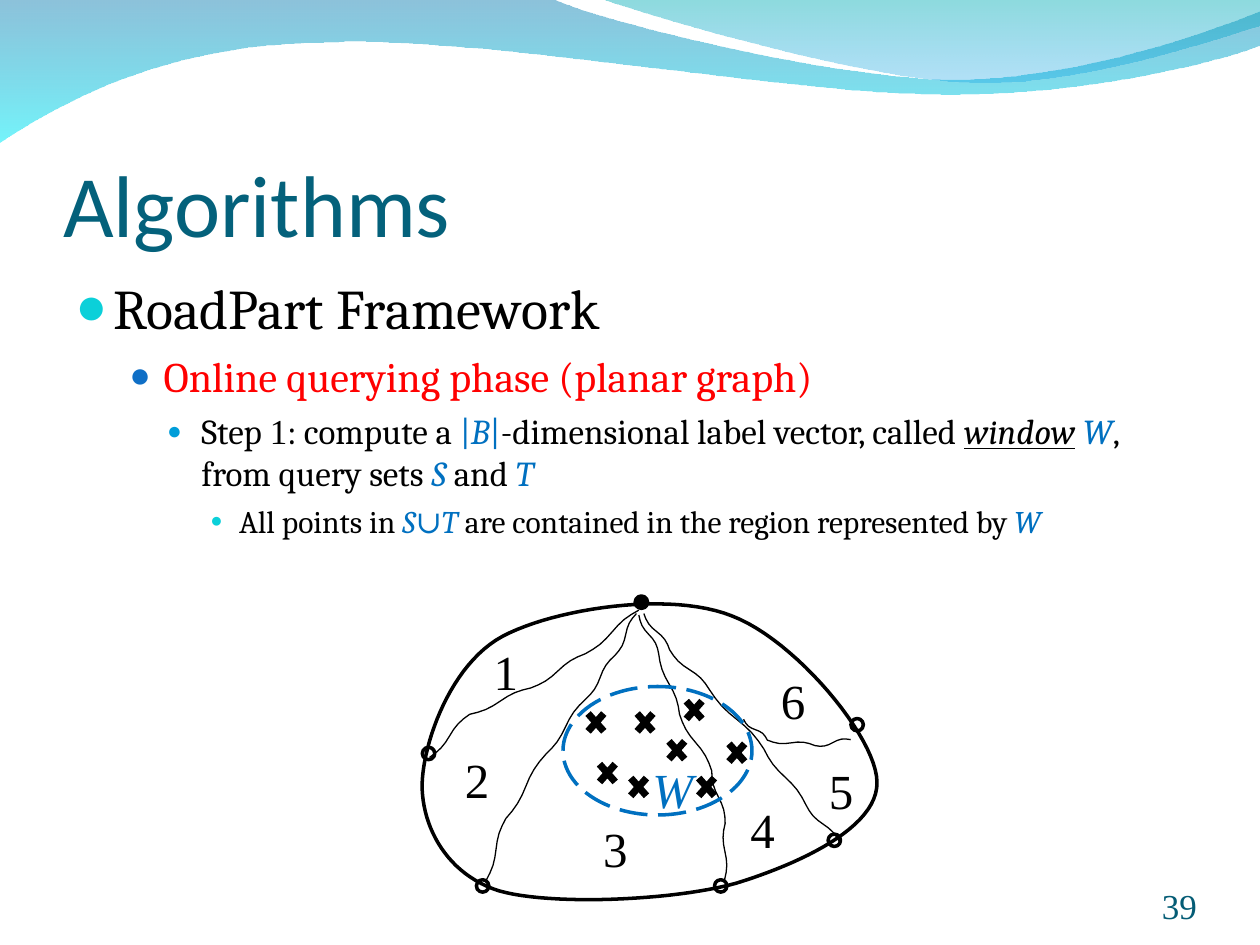
"""Build the slide on the online querying phase of the RoadPart framework."""
import math
import lxml.etree
import pptx
import pptx.dml.color
import pptx.enum.dml
import pptx.enum.shapes
import pptx.enum.text
import pptx.oxml.ns
import pptx.util

Cm, Pt, qn = pptx.util.Cm, pptx.util.Pt, pptx.oxml.ns.qn
RGB = pptx.dml.color.RGBColor.from_string
SHAPES = pptx.enum.shapes.MSO_SHAPE
ANCHOR, ALIGN = pptx.enum.text.MSO_ANCHOR, pptx.enum.text.PP_ALIGN
SERIF = "Times New Roman"
COLORS = {
    "title": "04617B", "number": "045C75", "black": "000000", "red": "FF0000", "blue": "0070C0",
    "bullet1": "0BD0D9", "bullet2": "0F6FC6", "bullet3": "009DD9",
    "wave_top": "0079AF", "wave_end": "00EBF8", "crest_top": "00ADB6", "crest_end": "009BE5",
}


def paint(shape, fill=None, line=None, weight=2):
    shape.shadow.inherit = False
    if fill:
        shape.fill.solid()
        shape.fill.fore_color.rgb = RGB(COLORS[fill])
    else:
        shape.fill.background()
    if line:
        shape.line.color.rgb = RGB(COLORS[line])
        shape.line.width = Pt(weight)
    else:
        shape.line.fill.background()


def add_run(paragraph, text, size, color="black", font="Cambria", italic=False, underline=False):
    run = paragraph.add_run()
    run.text = text
    run.font.size, run.font.name = Pt(size), font
    run.font.italic, run.font.underline = italic, underline
    run.font.color.rgb = RGB(COLORS[color])


deck = pptx.Presentation()
deck.slide_width, deck.slide_height = Cm(25.4), Cm(19.05)
slide = deck.slides.add_slide(deck.slide_layouts[5])

title = slide.shapes.title
title.left, title.top, title.width, title.height = Cm(1.27), Cm(1.96), Cm(22.86), Cm(3.18)
heading = title.text_frame
heading.auto_size = pptx.enum.text.MSO_AUTO_SIZE.NONE
heading.vertical_anchor = ANCHOR.BOTTOM
heading.margin_left = heading.margin_right = heading.margin_bottom = 0
heading.paragraphs[0].alignment = ALIGN.LEFT
add_run(heading.paragraphs[0], "Algorithms", 50, "title", "Calibri")

wave = [[(0, 0)], [(11.18, 0)], [(12.09, 0.43), (16.87, 1.6), (19.25, 1.6)],
        [(21.67, 1.6), (24.33, 0.66), (25.4, 0.23)], [(25.4, 0.91)],
        [(24.97, 1.12), (22.1, 1.93), (18.95, 1.9)], [(15.8, 1.9), (9.7, 0.71), (6.53, 0.86)],
        [(3.28, 0.89), (1.17, 2.11), (0, 2.87)]]
crest = [[(12.17, 0)], [(12.93, 0.28), (17.32, 1.57), (19.53, 1.65)],
         [(21.74, 1.75), (24.41, 0.81), (25.4, 0.53)], [(25.4, 0)]]
boundary = [[(8.51, 15.82)], [(8.53, 14.96), (9.09, 13.39), (10.13, 12.83)],
            [(11.18, 12.27), (13.51, 11.91), (14.76, 12.42)],
            [(16.03, 12.9), (17.68, 14.88), (17.68, 15.77)],
            [(17.7, 16.69), (16.1, 17.42), (14.83, 17.81)],
            [(13.56, 18.16), (11.1, 18.26), (10.06, 17.96)],
            [(9.02, 17.63), (8.51, 16.69), (8.51, 15.82)]]
curved_areas = [
    (wave, None, [("wave_top", 45), ("wave_end", 55)]),
    (crest, None, [("crest_top", 45), ("crest_end", 30)]),
    (boundary, "black", []),
]
CURVE_STEPS = 24

for segments, line, gradient in curved_areas:
    edge = []
    for segment in segments:
        if len(segment) == 1:
            edge += segment
            continue
        controls = [edge[-1]] + segment
        for step in range(1, CURVE_STEPS + 1):
            t = step / CURVE_STEPS
            bernstein = [math.comb(3, k) * t ** k * (1 - t) ** (3 - k) for k in range(4)]
            edge.append([sum(b * c[axis] for b, c in zip(bernstein, controls)) for axis in (0, 1)])
    pen = slide.shapes.build_freeform(Cm(edge[0][0]), Cm(edge[0][1]))
    pen.add_line_segments([(Cm(x), Cm(y)) for x, y in edge[1:]], close=True)
    area = pen.convert_to_shape()
    paint(area, line=line)
    if gradient:
        area.fill.gradient()
        area.fill.gradient_angle = 270
        for stop, (color, opacity) in zip(area.fill.gradient_stops, gradient):
            stop.color.rgb = RGB(COLORS[color])
        for tint, (color, opacity) in zip(area._element.iter(qn("a:srgbClr")), gradient):
            lxml.etree.SubElement(tint, qn("a:alpha"), val=str(opacity * 1000))

road_bends = {
    "west": [(12.88, 12.3), (11.8, 13.18), (10.7, 13.87), (9.47, 14.4), (8.66, 15.27)],
    "southwest": [(12.83, 12.37), (12.4, 13.21), (11.8, 14.1), (11, 15.21), (10.2, 16.5), (9.8, 17.75)],
    "south": [(12.88, 12.4), (13.28, 13.18), (13.7, 14.4), (14.35, 15.54), (14.62, 16.6), (14.61, 17.73)],
    "southeast": [(12.98, 12.37), (13.5, 13.1), (14.3, 13.9), (15.4, 15.1), (16.25, 16.23), (16.94, 17)],
    "east": [(14.99, 14.5), (15.47, 14.92), (16.43, 15.03), (17.15, 14.91)],
}
RIPPLE_HEIGHT, RIPPLE_STEPS = 0.04, 8

for bends in road_bends.values():
    pen = slide.shapes.build_freeform(Cm(bends[0][0]), Cm(bends[0][1]))
    for (x1, y1), (x2, y2) in zip(bends, bends[1:]):
        leg = math.dist((x1, y1), (x2, y2))
        for step in range(1, RIPPLE_STEPS + 1):
            t = step / RIPPLE_STEPS
            ripple = RIPPLE_HEIGHT * math.sin(2 * math.pi * t) / leg
            x = x1 + t * (x2 - x1) - ripple * (y2 - y1)
            y = y1 + t * (y2 - y1) + ripple * (x2 - x1)
            pen.add_line_segments([(Cm(x), Cm(y))], close=False)
    paint(pen.convert_to_shape(), line="black", weight=0.75)

border_nodes = {"north": (12.93, 12.14), "west": (8.64, 15.19), "southwest": (9.73, 17.86),
                "south": (14.53, 17.86), "southeast": (16.82, 16.94), "east": (17.28, 14.61)}
NODE_SIZE = 0.25
for place, (x, y) in border_nodes.items():
    node = slide.shapes.add_shape(SHAPES.OVAL, Cm(x - NODE_SIZE / 2), Cm(y - NODE_SIZE / 2),
                                  Cm(NODE_SIZE), Cm(NODE_SIZE))
    paint(node, "black" if place == "north" else None, "black")

window = slide.shapes.add_shape(SHAPES.OVAL, Cm(11.35), Cm(13.84), Cm(3.81), Cm(2.59))
paint(window, line="blue")
window.line.dash_style = pptx.enum.dml.MSO_LINE.LONG_DASH

region_labels = {"1": (9.7, 12.8), "2": (9.12, 14.99), "3": (11.91, 16.38), "4": (14.88, 16),
                 "5": (16.46, 15.21), "6": (15.49, 13.39), "W": (12.9, 15.19)}
for text, (left, top) in region_labels.items():
    is_window = text == "W"
    label = slide.shapes.add_textbox(Cm(left), Cm(top), Cm(1.32 if is_window else 0.99), Cm(1.45))
    label.text_frame.word_wrap = False
    add_run(label.text_frame.paragraphs[0], text, 28, "blue" if is_window else "black",
            SERIF, is_window)

query_points = [(13.69, 13.97), (12.7, 14.22), (14.55, 14.83), (11.94, 15.24),
                (12.57, 15.52), (13.34, 14.78), (11.71, 14.22), (13.94, 15.52)]
for left, top in query_points:
    cross = slide.shapes.add_shape(SHAPES.MATH_MULTIPLY, Cm(left), Cm(top), Cm(0.61), Cm(0.69))
    paint(cross, "black")

symbol = ("blue", "Cambria", True)
outline_points = [
    (32, 0.76, 0.76, 8, "bullet1", 95, [("RoadPart Framework",)]),
    (24, 1.78, 0.69, 6, "bullet2", 85, [("Online querying phase (planar graph)", "red")]),
    (20, 2.54, 0.69, 5, "bullet3", 70, [
        ("Step ",), ("1", "black", SERIF), (": compute a ",), ("|", "blue"), ("B", *symbol),
        ("|", "blue"), ("-dimensional label vector, called ",),
        ("window", "black", "Cambria", True, True), (" ",), ("W", *symbol),
        (", from query sets ",), ("S", *symbol), (" and ",), ("T", *symbol)]),
    (18, 3.3, 0.58, 4.5, "bullet1", 65, [
        ("All points in ",), ("S", *symbol), ("∪", "blue"), ("T ", *symbol),
        ("are contained in the region represented by ",), ("W", *symbol)]),
]
body = slide.shapes.add_textbox(Cm(1.27), Cm(5.38), Cm(21.92), Cm(12.95)).text_frame
body.word_wrap = True
for level, (size, margin, hanging, before, bullet, percent, runs) in enumerate(outline_points):
    paragraph = body.add_paragraph() if level else body.paragraphs[0]
    paragraph.level = level
    paragraph.space_before = Pt(before)
    properties = paragraph._p.get_or_add_pPr()
    properties.set("marL", str(Cm(margin)))
    properties.set("indent", str(-Cm(hanging)))
    bullet_color = lxml.etree.SubElement(properties, qn("a:buClr"))
    lxml.etree.SubElement(bullet_color, qn("a:srgbClr"), val=COLORS[bullet])
    lxml.etree.SubElement(properties, qn("a:buSzPct"), val=str(percent * 1000))
    lxml.etree.SubElement(properties, qn("a:buFont"), typeface=SERIF)
    lxml.etree.SubElement(properties, qn("a:buChar"), char="●")
    for text, *style in runs:
        add_run(paragraph, text, size, *style)

page = slide.shapes.add_textbox(Cm(22.02), Cm(17.65), Cm(2.11), Cm(1.02)).text_frame
page.margin_left = page.margin_right = page.margin_top = page.margin_bottom = 0
page.vertical_anchor = ANCHOR.BOTTOM
page.paragraphs[0].alignment = ALIGN.RIGHT
add_run(page.paragraphs[0], "39", 20, "number", SERIF)

deck.save("out.pptx")
